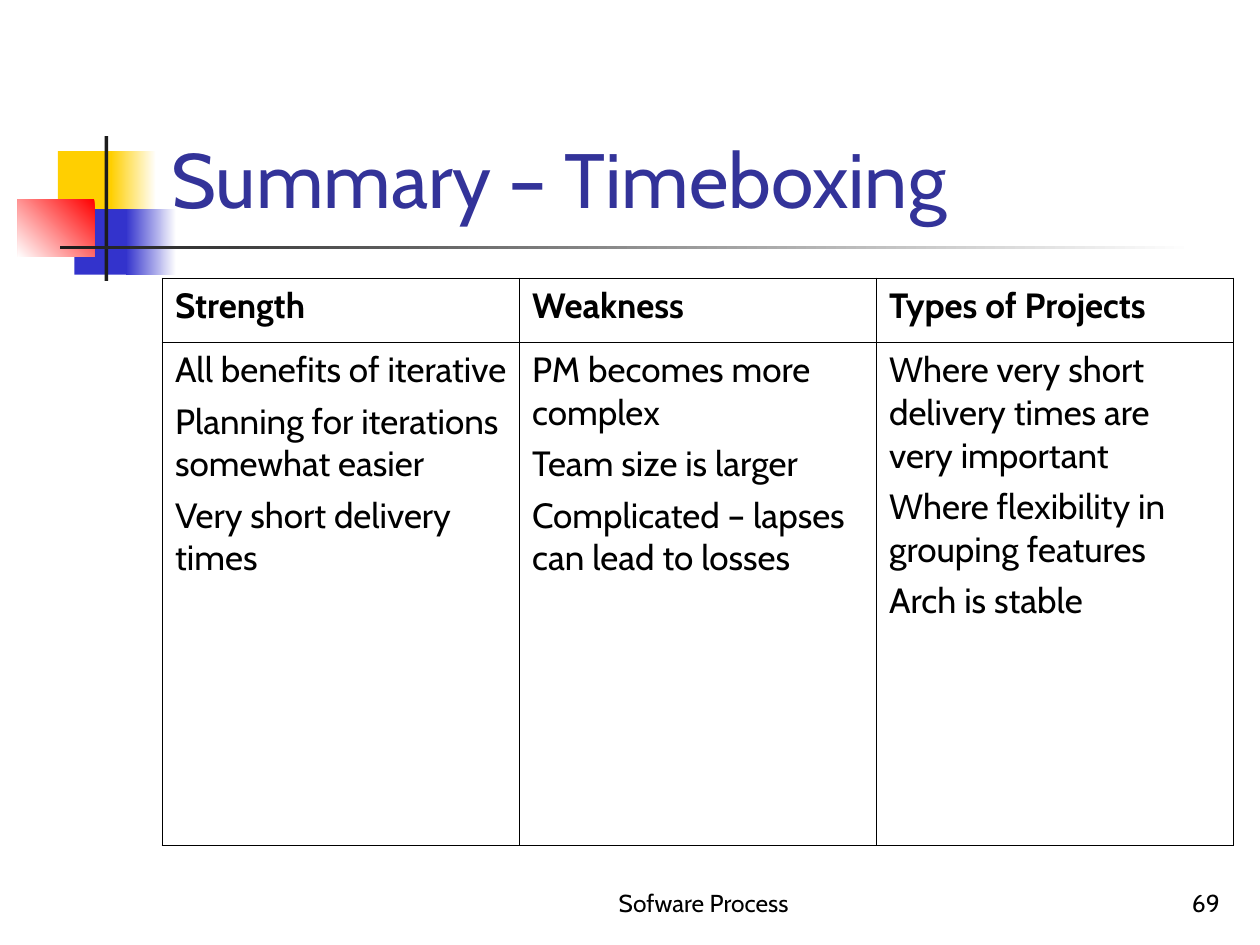
from lxml import etree
from pptx import Presentation
from pptx import util as u
from pptx.dml.color import RGBColor
from pptx.enum import shapes, text
from pptx.oxml import ns

FONT = "Cabin"
BLACK, WHITE = "000000", "FFFFFF"
YELLOW, BLUE, RED, DARK = "FFCF01", "3333CC", "FF0000", "1C1C1C"
THICK, THIN = 1.08, 0.45

HEADERS = ["Strength", "Weakness", "Types of Projects"]
POINTS = [
    ["All benefits of iterative", "Planning for iterations somewhat easier",
     "Very short delivery times"],
    ["PM becomes more complex", "Team size is larger",
     "Complicated – lapses can lead to losses"],
    ["Where very short delivery times are very important",
     "Where flexibility in grouping features", "Arch is stable"],
]


def rgb(color):
    return RGBColor.from_string(color)


def inches(*values):
    return [u.Inches(v) for v in values]


def add_block(s, box, *colors, angle=180):
    sp = s.shapes.add_shape(shapes.MSO_SHAPE.RECTANGLE, *inches(*box))
    sp.shadow.inherit = False
    sp.line.fill.background()
    if len(colors) == 1:
        sp.fill.solid()
        sp.fill.fore_color.rgb = rgb(colors[0])
        return
    sp.fill.gradient()
    sp.fill.gradient_angle = angle
    for stop, color in zip(sp.fill.gradient_stops, colors):
        stop.color.rgb = rgb(color)


def format_runs(p, size, color=BLACK, bold=False):
    for r in p.runs:
        r.font.name = FONT
        r.font.size = u.Pt(size)
        r.font.bold = bold
        r.font.color.rgb = rgb(color)


def add_text(s, box, content, size, color=BLACK, align=text.PP_ALIGN.LEFT):
    tf = s.shapes.add_textbox(*inches(*box)).text_frame
    tf.word_wrap = True
    tf.vertical_anchor = text.MSO_ANCHOR.BOTTOM
    tf.text = content
    p = tf.paragraphs[0]
    p.alignment = align
    format_runs(p, size, color)


def set_borders(cell, widths):
    tc_pr = cell._tc.get_or_add_tcPr()
    for side, width in zip("LRTB", widths):
        ln = etree.SubElement(tc_pr, ns.qn(f"a:ln{side}"), w=str(u.Pt(width)))
        fill = etree.SubElement(ln, ns.qn("a:solidFill"))
        etree.SubElement(fill, ns.qn("a:srgbClr"), val=BLACK)


def fill_cell(cell, lines, bold):
    tf = cell.text_frame
    tf.text = "\n".join(lines)
    for p in tf.paragraphs:
        p.space_before = u.Pt(5)
        format_runs(p, 20, bold=bold)


def add_summary_table(s, box, row_heights):
    rows = [[[header] for header in HEADERS], POINTS]
    last_row, last_col = len(rows) - 1, len(HEADERS) - 1
    table = s.shapes.add_table(len(rows), len(HEADERS), *inches(*box)).table
    table.first_row = table.horz_banding = False
    for row, height in zip(table.rows, row_heights):
        row.height = u.Inches(height)
    for i, row in enumerate(rows):
        for j, lines in enumerate(row):
            cell = table.cell(i, j)
            fill_cell(cell, lines, bold=i == 0)
            edges = (j == 0, j == last_col, i == 0, i == last_row)
            set_borders(cell, [THICK if edge else THIN for edge in edges])
            cell.fill.background()


def add_decoration(s):
    add_block(s, (0.46, 1.2, 0.48, 0.52), YELLOW)
    add_block(s, (0.88, 1.2, 0.36, 0.52), WHITE, YELLOW)
    add_block(s, (0.59, 1.66, 0.46, 0.52), BLUE)
    add_block(s, (1, 1.66, 0.4, 0.52), WHITE, BLUE)
    add_block(s, (0.14, 1.58, 0.61, 0.46), RED, WHITE, angle=225)
    add_block(s, (0.83, 1.08, 0.03, 1.15), DARK)
    add_block(s, (0.48, 1.95, 9, 0.03), WHITE, DARK)


def main():
    prs = Presentation()
    prs.slide_width, prs.slide_height = inches(10, 7.5)
    s = prs.slides.add_slide(prs.slide_layouts[6])
    add_decoration(s)
    add_text(s, (4, 6.83, 3.17, 0.5), "Sofware Process", 14,
             align=text.PP_ALIGN.CENTER)
    add_text(s, (7.7, 6.83, 2.08, 0.5), "69", 14, align=text.PP_ALIGN.RIGHT)
    add_text(s, (1.26, 0.23, 8.52, 1.6), "Summary – Timeboxing", 44, "333399")
    add_summary_table(s, (1.29, 2.21, 8.5, 4.5), (0.51, 3.99))
    prs.save("out.pptx")


if __name__ == "__main__":
    main()
